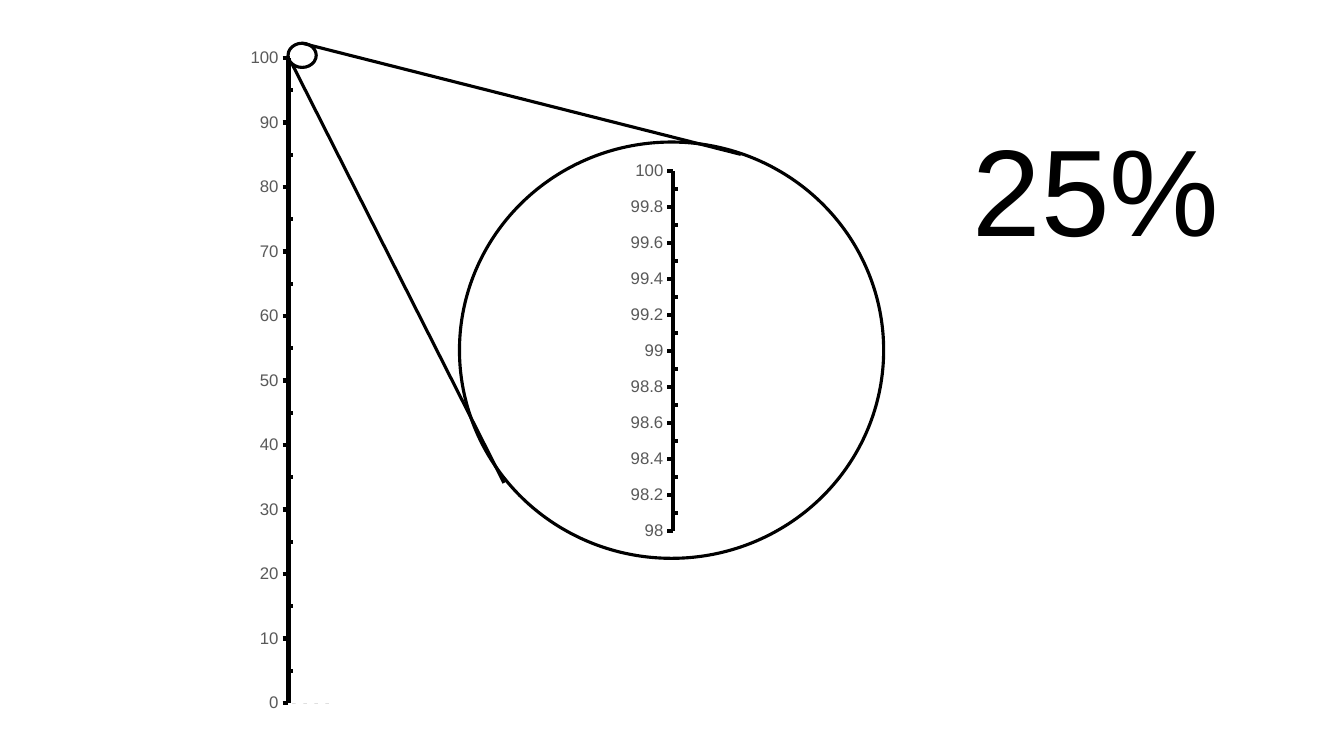
from dataclasses import dataclass

import lxml.etree
import pptx
import pptx.chart.data
import pptx.dml.color
import pptx.enum.chart
import pptx.enum.shapes
import pptx.enum.text
import pptx.oxml.ns
import pptx.util
from pptx.util import Cm, Pt

FONT = "Arial"
BLACK = "000000"
GREY = "595959"


@dataclass
class Box:
    left: float
    top: float
    width: float
    height: float

    def lengths(self) -> list:
        return [Cm(v) for v in (self.left, self.top, self.width, self.height)]


@dataclass
class Scale:
    box: Box
    low: float
    high: float
    step: float


@dataclass
class Ray:
    x1: float
    y1: float
    x2: float
    y2: float


SCALES = [
    Scale(Box(6.27, 0.89, 2.16, 17.4), 0, 100, 10),
    Scale(Box(15.85, 3.89, 2.16, 9.91), 98, 100, 0.2),
]
LENSES = [Box(7.26, 1.09, 0.71, 0.61), Box(11.58, 3.58, 10.69, 10.49)]
RAYS = [Ray(7.62, 1.09, 18.67, 3.89), Ray(7.37, 1.63, 12.7, 12.17)]
PERCENT_BOX = Box(24.26, 2.74, 6.78, 4.01)


def rgb(value: str) -> pptx.dml.color.RGBColor:
    return pptx.dml.color.RGBColor.from_string(value)


def set_font(font, size: float, color: str) -> None:
    font.name = FONT
    font.size = Pt(size)
    font.color.rgb = rgb(color)


def set_line(line, width: float) -> None:
    line.color.rgb = rgb(BLACK)
    line.width = Pt(width)


def add_scale(s, scale: Scale) -> None:
    """Draw a chart that shows only its value axis."""
    data = pptx.chart.data.CategoryChartData()
    data.categories = ["1", "2", "3", "4"]
    data.add_series("Series 1", [0, 0, 0, 0])
    kind = pptx.enum.chart.XL_CHART_TYPE.COLUMN_CLUSTERED
    chart = s.shapes.add_chart(kind, *scale.box.lengths(), data).chart
    chart.has_legend = False
    chart.has_title = False
    set_font(chart.font, 10, BLACK)

    bars = chart.plots[0]
    bars.vary_by_categories = False
    bars.gap_width = 219
    bars.overlap = -27
    fill = bars.series[0].format.fill
    fill.solid()
    fill.fore_color.rgb = rgb(BLACK)

    chart.category_axis.visible = False
    axis = chart.value_axis
    axis.minimum_scale = scale.low
    axis.maximum_scale = scale.high
    axis.major_unit = scale.step
    axis.minor_unit = scale.step / 2
    axis.has_major_gridlines = False
    axis.major_tick_mark = pptx.enum.chart.XL_TICK_MARK.OUTSIDE
    axis.minor_tick_mark = pptx.enum.chart.XL_TICK_MARK.INSIDE
    axis.tick_labels.number_format = "General"
    axis.tick_labels.number_format_is_linked = False
    set_font(axis.tick_labels.font, 12, GREY)
    set_line(axis.format.line, 3)


def add_lens(s, box: Box) -> None:
    sp = s.shapes.add_shape(pptx.enum.shapes.MSO_SHAPE.OVAL, *box.lengths())
    sp.shadow.inherit = False
    sp.fill.background()
    set_line(sp.line, 2.25)


def add_ray(s, ray: Ray) -> None:
    ends = [Cm(v) for v in (ray.x1, ray.y1, ray.x2, ray.y2)]
    line = s.shapes.add_connector(pptx.enum.shapes.MSO_CONNECTOR.STRAIGHT, *ends)
    set_line(line.line, 2.25)
    lxml.etree.SubElement(line._element.spPr, pptx.oxml.ns.qn("a:effectLst"))


def add_percent(s, box: Box, text: str) -> None:
    tf = s.shapes.add_textbox(*box.lengths()).text_frame
    tf.word_wrap = False
    tf.auto_size = pptx.enum.text.MSO_AUTO_SIZE.SHAPE_TO_FIT_TEXT
    p = tf.paragraphs[0]
    p.text = text
    set_font(p.font, 88, BLACK)


def main() -> None:
    prs = pptx.Presentation()
    prs.slide_width = Cm(33.87)
    prs.slide_height = Cm(19.05)
    s = prs.slides.add_slide(prs.slide_layouts.get_by_name("Blank"))
    for scale in SCALES:
        add_scale(s, scale)
    for lens in LENSES:
        add_lens(s, lens)
    for ray in RAYS:
        add_ray(s, ray)
    add_percent(s, PERCENT_BOX, "25%")
    prs.save("out.pptx")


if __name__ == "__main__":
    main()
